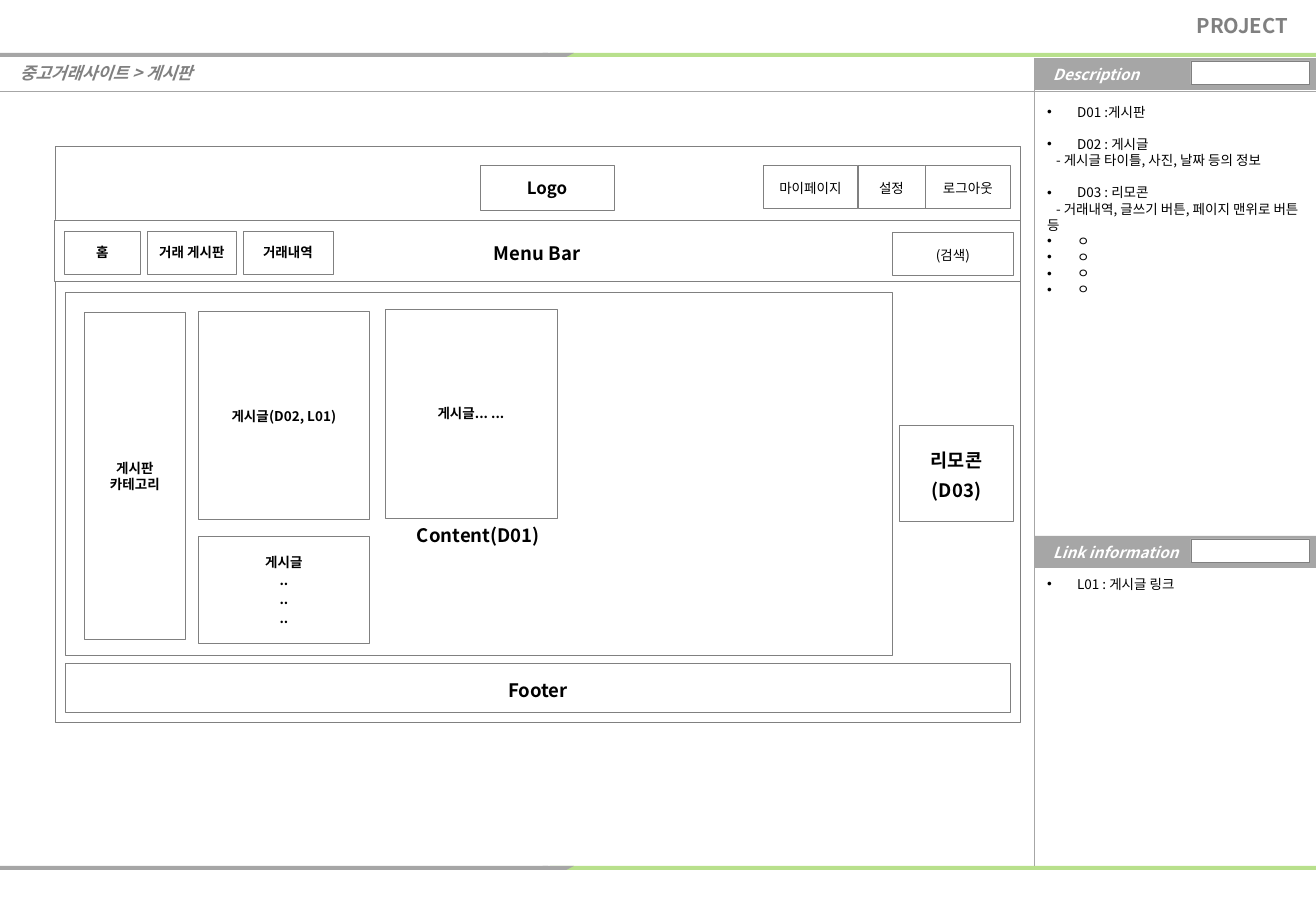
from lxml import etree
from pptx import Presentation
from pptx.dml.color import RGBColor
from pptx.enum.shapes import MSO_CONNECTOR, MSO_SHAPE
from pptx.enum.text import MSO_ANCHOR, MSO_AUTO_SIZE, PP_ALIGN
from pptx.oxml.ns import qn
from pptx.util import Emu, Pt

FONT = "Noto Sans CJK KR"
BLACK, WHITE, GRAY, BAND, GREEN = "000000", "FFFFFF", "808080", "A6A6A6", "B8E08C"


def px(n):
    return Emu(round(n * 914400 / 121.5))


def rgb(color):
    return RGBColor.from_string(color)


def set_all(obj, values):
    for name, value in values.items():
        setattr(obj, name, value)


def place(sp, box):
    set_all(sp, dict(zip(("left", "top", "width", "height"), map(px, box))))


def set_frame(tf, anchor=MSO_ANCHOR.MIDDLE, left=12, top=6):
    set_all(tf, {
        "word_wrap": True, "auto_size": MSO_AUTO_SIZE.NONE, "vertical_anchor": anchor,
        "margin_left": px(left), "margin_right": px(12),
        "margin_top": px(top), "margin_bottom": px(6),
    })


def write(p, text, size, color=BLACK, bold=False, italic=False,
          align=PP_ALIGN.LEFT, spacing=1.0, before=0):
    set_all(p, {"alignment": align, "line_spacing": spacing, "space_before": before})
    r = p.add_run()
    r.text = text
    set_all(r.font, {"name": FONT, "size": Pt(size), "bold": bold, "italic": italic})
    r.font.color.rgb = rgb(color)
    etree.SubElement(r.font._element, qn("a:ea")).set("typeface", FONT)


def add_paragraph(tf, i):
    return tf.add_paragraph() if i else tf.paragraphs[0]


def add_block(s, box, fill=WHITE, line=None, kind=MSO_SHAPE.RECTANGLE):
    sp = s.shapes.add_shape(kind, *map(px, box))
    sp.shadow.inherit = False
    sp.fill.solid()
    sp.fill.fore_color.rgb = rgb(fill)
    if line:
        sp.line.color.rgb = rgb(line)
        sp.line.width = Pt(0.5)
    else:
        sp.line.fill.background()
    return sp


def add_rule(s, x1, y1, x2, y2):
    cn = s.shapes.add_connector(MSO_CONNECTOR.STRAIGHT, *map(px, (x1, y1, x2, y2)))
    cn.line.color.rgb = rgb(BAND)
    cn.line.width = Pt(0.5)
    etree.SubElement(cn._element.spPr, qn("a:effectLst"))


def add_stripe(s, x, y, w, h):
    add_block(s, (x + 550, y, w - 550, h), GREEN)
    add_block(s, (x, y, 548, h), BAND)
    add_block(s, (x + 535, y, 39, h), BAND, kind=MSO_SHAPE.FLOWCHART_DATA)


def add_header(s, x, y, w, h):
    tb = s.shapes.add_textbox(*map(px, (x + w - 373, y + 7, 357, 37)))
    set_frame(tb.text_frame)
    write(tb.text_frame.paragraphs[0], "PROJECT", 12, GRAY, True, align=PP_ALIGN.RIGHT)
    title = s.shapes.title
    place(title, (x + 8, y + 57, 990, h - 59))
    set_frame(title.text_frame)
    write(title.text_frame.paragraphs[0], "중고거래사이트 > 게시판", 10, GRAY, True, True)
    add_rule(s, x, y + h, x + w, y + h)


def add_panel(s, body, heading, items, x, y, w, h):
    band = add_block(s, (x, y, w, 32), BAND)
    set_frame(band.text_frame, left=18)
    write(band.text_frame.paragraphs[0], heading, 9, WHITE, True, True)
    add_block(s, (x + 156, y + 3, 119, 23), WHITE, GRAY)

    place(body, (x, y + 34, w, h - 34))
    tf = body.text_frame
    set_frame(tf, MSO_ANCHOR.TOP, top=12 if h > 400 else 6)
    for i, (text, bullet, gap) in enumerate(items):
        p = add_paragraph(tf, i)
        write(p, text, 8, before=px(gap))
        pPr = p._p.get_or_add_pPr()
        pPr.set("marL", str(px(30 if bullet else 0)))
        pPr.set("indent", str(px(-30 if bullet else 9)))
        if bullet:
            etree.SubElement(pPr, qn("a:buChar")).set("char", "•")
        else:
            etree.SubElement(pPr, qn("a:buNone"))


def add_wireframe(s, x, y, w, h):
    small = {"size": 8, "bold": True}
    link = {"size": 8, "spacing": 1.2}
    large = {"size": 11, "bold": True, "spacing": 1.2}
    areas = [
        ((0, 0, w, h), "", {}, 6),
        ((0, 0, w, 76), "", {}, 6),
        ((708, 19, 95, 43), "마이페이지", link, 6),
        ((803, 19, 67, 43), "설정", link, 6),
        ((870, 19, 86, 43), "로그아웃", link, 6),
        ((10, 146, 827, 363), "Content(D01)", large, 124),
        ((10, 517, 946, 50), "Footer", large, 6),
        ((-1, 74, w + 1, 62), "Menu Bar", large, 6),
        ((425, 19, 134, 45), "Logo", {"size": 10, "bold": True}, 6),
        ((9, 85, 77, 43), "홈", small, 6),
        ((92, 85, 90, 43), "거래 게시판", small, 6),
        ((188, 85, 90, 43), "거래내역", small, 6),
        ((837, 86, 122, 43), "(검색)", link, 6),
        ((143, 166, 172, 208), "게시글(D02, L01)", small, 6),
        ((330, 163, 172, 209), "게시글... ...", small, 6),
        ((143, 390, 172, 108), "게시글\n..\n..\n..", small, 6),
        ((29, 166, 102, 328), "게시판 카테고리", small, 6),
        ((844, 279, 115, 96), "리모콘\n(D03)", large, 6),
    ]
    for (dx, dy, bw, bh), text, style, top in areas:
        sp = add_block(s, (x + dx, y + dy, bw, bh), WHITE, GRAY)
        if not text:
            continue
        tf = sp.text_frame
        set_frame(tf, top=top)
        for i, part in enumerate(text.split("\n")):
            before = Pt(style["size"] * 0.2) if i else 0
            write(add_paragraph(tf, i), part, align=PP_ALIGN.CENTER, before=before, **style)


DESCRIPTION = [
    ("D01 :게시판", True, 0),
    ("D02 : 게시글", True, 16),
    ("- 게시글 타이틀, 사진, 날짜 등의 정보", False, 0),
    ("D03 : 리모콘", True, 16),
    ("- 거래내역, 글쓰기 버튼, 페이지 맨위로 버튼 등", False, 0),
] + [("ㅇ", True, 0)] * 4
LINKS = [("L01 : 게시글 링크", True, 0)]

prs = Presentation()
prs.slide_width, prs.slide_height = px(1316), px(911)
s = prs.slides.add_slide(prs.slide_layouts[3])
description, links = s.placeholders[1], s.placeholders[2]

for stripe_y in (53, 866):
    add_stripe(s, 0, stripe_y, 1316, 4)
add_panel(s, description, "Description", DESCRIPTION, 1035, 58, 281, 478)
add_panel(s, links, "Link information", LINKS, 1035, 536, 281, 330)
add_rule(s, 1034, 58, 1034, 866)
add_header(s, 0, 0, 1316, 91)
add_wireframe(s, 55, 146, 965, 577)
prs.save("out.pptx")
